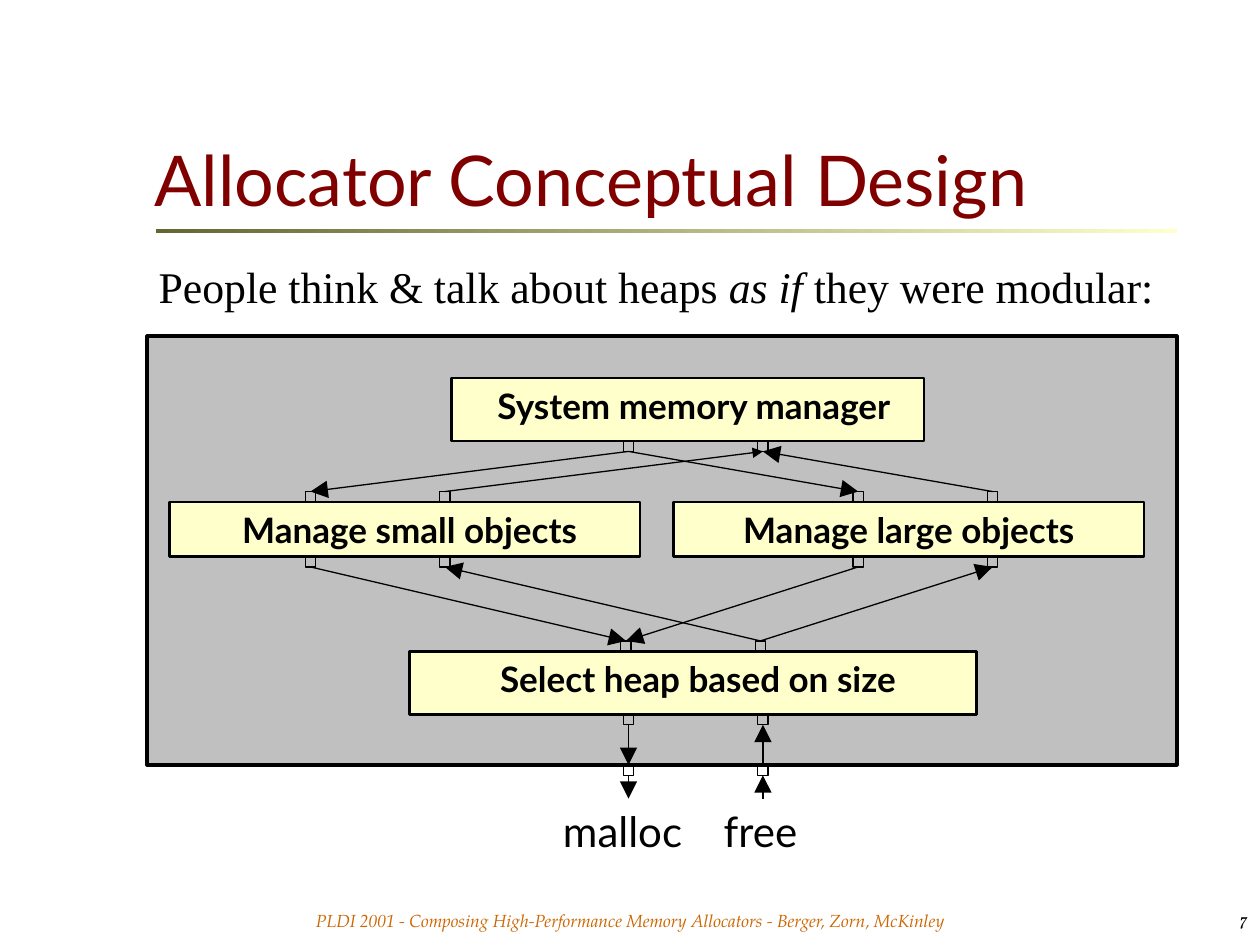
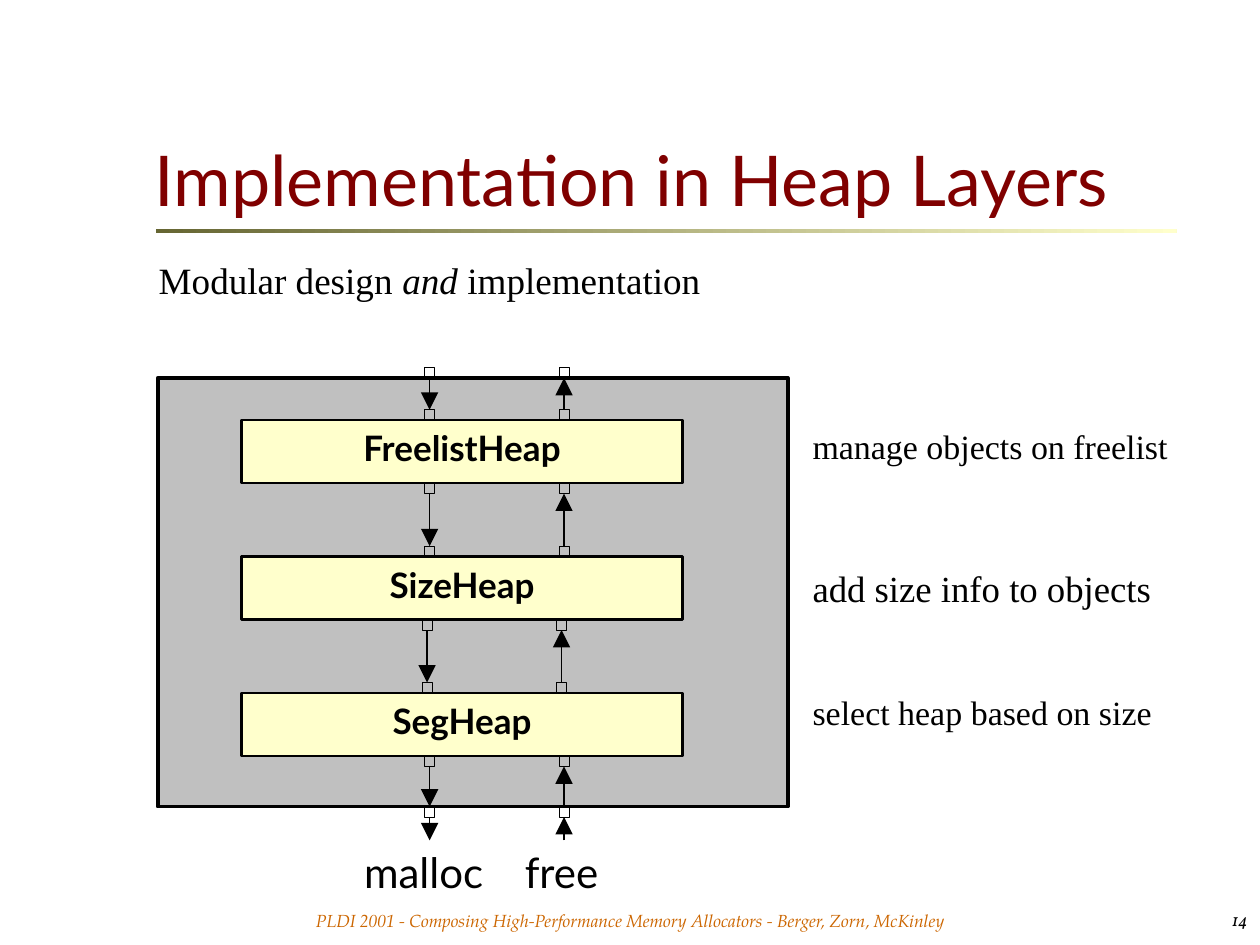
from dataclasses import dataclass, replace
from typing import NamedTuple, Optional

from lxml.etree import SubElement
from pptx import Presentation
from pptx.dml.color import RGBColor
from pptx.enum.shapes import MSO_CONNECTOR, MSO_SHAPE
from pptx.enum.text import MSO_ANCHOR, MSO_AUTO_SIZE, PP_ALIGN
from pptx.oxml.ns import qn
from pptx.shapes.autoshape import Shape
from pptx.slide import Slide
from pptx.text.text import TextFrame
from pptx.util import Cm, Pt

# Shared look
BLACK, MAROON, ORANGE = "000000", "800000", "CC6600"
GREY, CREAM, OLIVE = "C0C0C0", "FFFFCC", "666633"
FOOTER = "PLDI 2001 - Composing High-Performance Memory Allocators - Berger, Zorn, McKinley"
TOP, BOTTOM = 0, 2  # connection sites of a rectangle
PORT_SIZE = 0.21
PORT_GAP = 2.71


@dataclass(frozen=True)
class TextStyle:
    font: str
    size: float
    color: str = BLACK
    bold: bool = False
    italic: bool = False


TITLE = TextStyle("Lato", 40, MAROON)
MODULE = TextStyle("Lato", 20, bold=True)
CALL = TextStyle("Lato", 24)
FOOTNOTE = TextStyle("TeX Gyre Pagella", 10, ORANGE, italic=True)
PAGE_NUMBER = TextStyle("Vollkorn", 10, italic=True)
SERIF = "Times New Roman"


class Area(NamedTuple):
    """Position and size in centimetres."""
    left: float
    top: float
    width: float
    height: float

    @property
    def bottom(self) -> float:
        return self.top + self.height

    def lengths(self) -> list:
        return [Cm(value) for value in self]


class Module(NamedTuple):
    name: str
    area: Area
    shift: float = 0  # extra left inset of the label


class Note(NamedTuple):
    text: str
    top: float
    size: float
    spacing: float


class Ports(NamedTuple):
    down: Shape
    up: Shape


class Anchor(NamedTuple):
    shape: Shape
    side: int


def rgb(color: str) -> RGBColor:
    return RGBColor.from_string(color)


# Text
def write(frame: TextFrame, text: str, style: TextStyle, align=PP_ALIGN.LEFT,
          anchor=MSO_ANCHOR.TOP, wrap: bool = True, spacing: float = 1.0,
          shift: float = 0) -> None:
    """Write one paragraph; a part between asterisks is set in italics."""
    frame.word_wrap = wrap
    frame.auto_size = MSO_AUTO_SIZE.NONE
    frame.vertical_anchor = anchor
    frame.margin_left, frame.margin_right = Cm(0.25 + shift), Cm(0.25)
    frame.margin_top = frame.margin_bottom = Cm(0.13)
    para = frame.paragraphs[0]
    para.alignment = align
    para.line_spacing = spacing
    for index, part in enumerate(text.split("*")):
        span = para.add_run()
        span.text = part
        span.font.name = style.font
        span.font.size = Pt(style.size)
        span.font.bold = style.bold
        span.font.italic = style.italic or index % 2 == 1
        span.font.color.rgb = rgb(style.color)


def add_text(page: Slide, area: Area, text: str, style: TextStyle, **layout) -> None:
    box = page.shapes.add_textbox(*area.lengths())
    write(box.text_frame, text, style, **layout)


# Diagram parts
def add_rectangle(page: Slide, area: Area, fill: Optional[str], weight: float) -> Shape:
    box = page.shapes.add_shape(MSO_SHAPE.RECTANGLE, *area.lengths())
    box.shadow.inherit = False
    if fill:
        box.fill.solid()
        box.fill.fore_color.rgb = rgb(fill)
    else:
        box.fill.background()
    box.line.color.rgb = rgb(BLACK)
    box.line.width = Pt(weight)
    return box


def add_module(page: Slide, module: Module) -> None:
    box = add_rectangle(page, module.area, CREAM, 1.5)
    write(box.text_frame, module.name, MODULE, align=PP_ALIGN.CENTER, shift=module.shift)


def add_ports(page: Slide, center: float, top: float, weight: float) -> Ports:
    """Draw a pair of ports; center is the middle of the left one."""
    left = center - PORT_SIZE / 2
    return Ports(*(add_rectangle(page, Area(left + step, top, PORT_SIZE, PORT_SIZE), None, weight)
                   for step in (0, PORT_GAP)))


def add_arrow(page: Slide, start: Optional[Anchor], end: Optional[Anchor],
              loose: tuple = (0, 0), head: str = "lg") -> None:
    """Draw an arrow; an end without an anchor stays at the loose point."""
    point = [Cm(value) for value in loose]
    line = page.shapes.add_connector(MSO_CONNECTOR.STRAIGHT, *point, *point)
    if start:
        line.begin_connect(*start)
    if end:
        line.end_connect(*end)
    line.line.color.rgb = rgb(BLACK)
    line.line.width = Pt(0.75)
    SubElement(line.line._get_or_add_ln(), qn("a:tailEnd"), type="triangle", w=head, len=head)
    SubElement(line._element.spPr, qn("a:effectLst"))


def link_levels(page: Slide, upper: Ports, lower: Ports) -> None:
    add_arrow(page, Anchor(upper.down, BOTTOM), Anchor(lower.down, TOP))
    add_arrow(page, Anchor(lower.up, TOP), Anchor(upper.up, BOTTOM))


def add_exits(page: Slide, last: Ports, center: float, bottom: float, weight: float) -> None:
    """Lead the last ports out of the frame to malloc and free."""
    exits = add_ports(page, center, bottom, weight)
    link_levels(page, last, exits)
    tip = bottom + 0.68
    add_arrow(page, Anchor(exits.down, BOTTOM), None, (center, tip))
    add_arrow(page, None, Anchor(exits.up, BOTTOM), (center + PORT_GAP, tip))
    add_text(page, Area(center - 1.57, tip, 3.12, 1.27), "malloc", CALL, wrap=False)
    add_text(page, Area(center + PORT_GAP - 1.04, tip, 2.11, 1.27), "free", CALL, wrap=False)


# Slide frame
def start_page(deck, title: str, number: int) -> Slide:
    page = deck.slides.add_slide(deck.slide_layouts[5])
    heading = page.shapes.title
    heading.left, heading.top, heading.width, heading.height = Area(2.87, 1.6, 20.4, 2.97).lengths()
    write(heading.text_frame, title, TITLE, anchor=MSO_ANCHOR.BOTTOM)

    rule = page.shapes.add_shape(MSO_SHAPE.RECTANGLE, *Area(3.15, 4.62, 20.57, 0.08).lengths())
    rule.shadow.inherit = False
    rule.line.fill.background()
    rule.fill.gradient()
    rule.fill.gradient_angle = 0
    for stop, color in zip(rule.fill.gradient_stops, (OLIVE, CREAM)):
        stop.color.rgb = rgb(color)

    add_text(page, Area(1.27, 18.21, 22.86, 0.64), FOOTER, FOOTNOTE, align=PP_ALIGN.CENTER)
    add_text(page, Area(24.13, 18.21, 1.27, 0.64), str(number), PAGE_NUMBER,
             align=PP_ALIGN.RIGHT, anchor=MSO_ANCHOR.MIDDLE)
    return page


def build_conceptual_design(deck) -> None:
    page = start_page(deck, "Allocator Conceptual Design", 7)
    add_text(page, Area(2.95, 5.23, 21.39, 2.18),
             "People think & talk about heaps *as if* they were modular:",
             TextStyle(SERIF, 25), spacing=0.9)
    frame = Area(2.97, 6.78, 20.75, 8.64)
    add_rectangle(page, frame, GREY, 2.25)

    system = Module("System memory manager", Area(9.1, 7.62, 9.53, 1.27), 0.25)
    small = Module("Manage small objects", Area(3.42, 10.12, 9.48, 1.1), 0.2)
    large = Module("Manage large objects", Area(13.58, 10.12, 9.48, 1.1))
    select = Module("Select heap based on size", Area(8.26, 13.13, 11.43, 1.27), 0.2)
    for module in (system, small, large, select):
        add_module(page, module)

    middle = 12.67
    system_ports = add_ports(page, middle, system.area.bottom, 0.75)
    select_top = add_ports(page, middle - 0.05, select.area.top - PORT_SIZE, 0.75)
    select_bottom = add_ports(page, middle, select.area.bottom, 0.75)

    # Each manager sits between the system and the selector
    for manager, center, head in ((small, 6.26, "med"), (large, 17.3, "lg")):
        upper = add_ports(page, center, manager.area.top - PORT_SIZE, 0.75)
        lower = add_ports(page, center, manager.area.bottom, 0.75)
        add_arrow(page, Anchor(system_ports.down, BOTTOM), Anchor(upper.down, TOP))
        add_arrow(page, Anchor(upper.up, TOP), Anchor(system_ports.up, BOTTOM), head=head)
        link_levels(page, lower, select_top)
    add_exits(page, select_bottom, middle, frame.bottom, 0.75)


def build_heap_layers(deck) -> None:
    page = start_page(deck, "Implementation in Heap Layers", 14)
    body = TextStyle(SERIF, 21.2)
    add_text(page, Area(2.95, 5.23, 14.4, 1.32), "Modular design *and* implementation",
             body, spacing=0.8)
    frame = Area(3.18, 7.62, 12.7, 8.64)
    add_rectangle(page, frame, GREY, 2.25)

    # Stack of layers, each fed by the ports above it
    center = 8.66
    above = add_ports(page, center, frame.top - PORT_SIZE, 0.25)
    layers = (("FreelistHeap", center, center),
              ("SizeHeap", center, center - 0.05),
              ("SegHeap", center - 0.05, center))
    for index, (name, entry, leave) in enumerate(layers):
        area = Area(4.87, 8.47 + 2.75 * index, 8.89, 1.27)
        add_module(page, Module(name, area))
        link_levels(page, above, add_ports(page, entry, area.top - PORT_SIZE, 0.25))
        above = add_ports(page, leave, area.bottom, 0.25)
    add_exits(page, above, center, frame.bottom, 0.25)

    # What each layer does
    for note in (Note("manage objects on freelist", 8.61, 19.4, 0.8),
                 Note("add size info to objects", 11.38, 21, 0.9),
                 Note("select heap based on size", 13.97, 19.4, 0.8)):
        add_text(page, Area(16.13, note.top, 8.84, 1.32), note.text,
                 replace(body, size=note.size), spacing=note.spacing)


def main() -> None:
    deck = Presentation()
    deck.slide_width, deck.slide_height = Cm(25.4), Cm(19.05)
    build_conceptual_design(deck)
    build_heap_layers(deck)
    deck.save("out.pptx")


if __name__ == "__main__":
    main()
